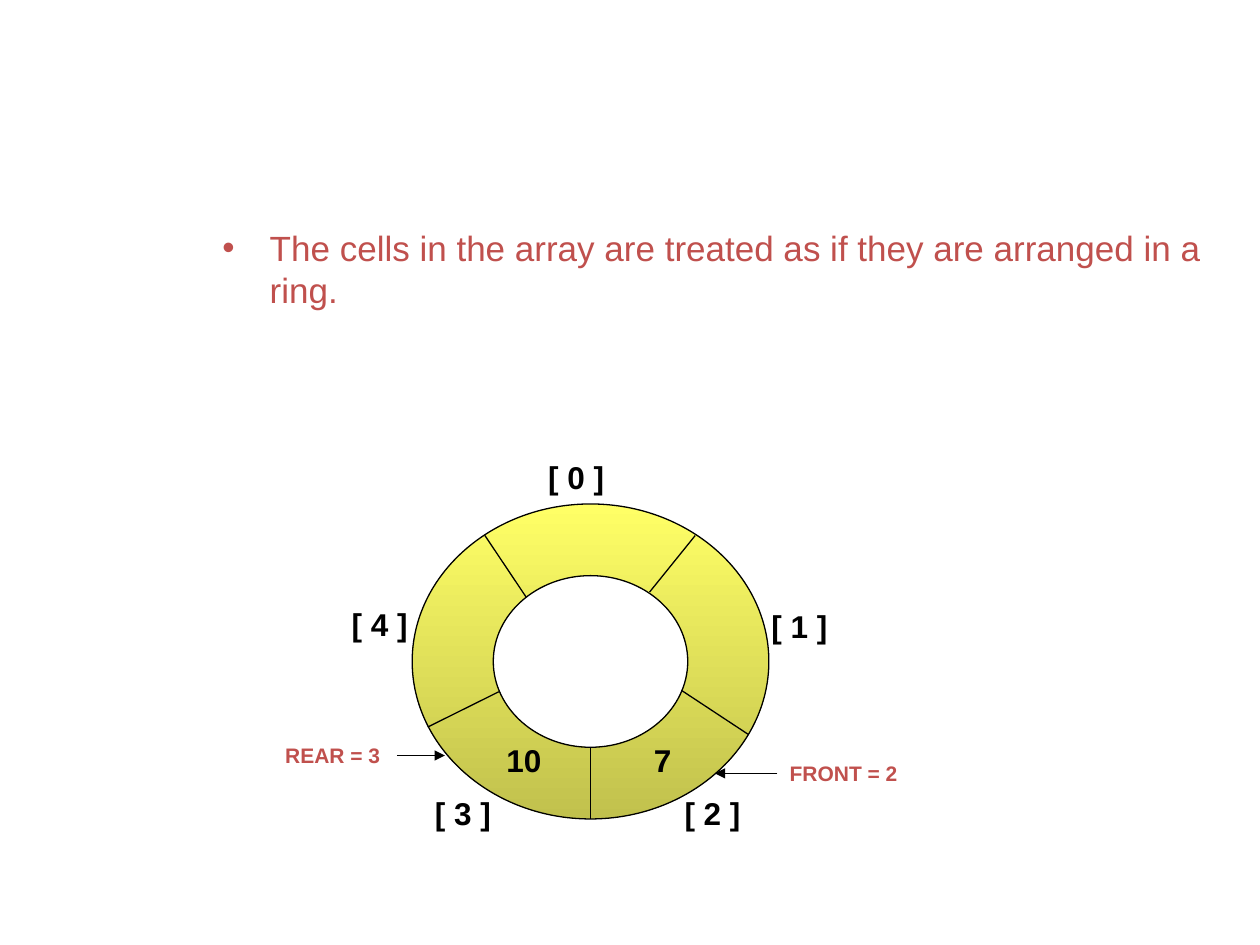
from lxml.etree import Element, SubElement
from pptx import Presentation
from pptx.dml.color import RGBColor
from pptx.enum.shapes import MSO_CONNECTOR as CONNECTOR
from pptx.enum.text import MSO_AUTO_SIZE as AUTO_SIZE
from pptx.oxml.ns import qn
from pptx.util import Cm, Pt

BLACK, RED = "000000", "C0504D"
RING_TOP, RING_BOTTOM = "FFFF66", "C1C14D"
ARC = 0.55  # Bezier handle length of a quarter ellipse


def color(hex_value):
    return RGBColor.from_string(hex_value)


def write(frame, text, size=18, fill=BLACK, bold=True):
    paragraph = frame.paragraphs[0]
    paragraph.space_before = Pt(0)
    run = paragraph.add_run()
    run.text = text
    run.font.name, run.font.size, run.font.bold = "Arial", Pt(size), bold
    run.font.color.rgb = color(fill)


def add_label(slide, text, left, top, width, height=1.02, **text_format):
    label = slide.shapes.add_textbox(Cm(left), Cm(top), Cm(width), Cm(height))
    label.text_frame.word_wrap = False
    label.text_frame.auto_size = AUTO_SIZE.SHAPE_TO_FIT_TEXT
    write(label.text_frame, text, **text_format)
    return label


def add_line(slide, start, end, arrow=False):
    line = slide.shapes.add_connector(
        CONNECTOR.STRAIGHT, *(Cm(value) for value in (*start, *end)))
    line.line.color.rgb = color(BLACK)
    line.line.width = Pt(0.75)
    if arrow:
        SubElement(line.line._get_or_add_ln(), qn("a:tailEnd"), type="triangle")
    SubElement(line._element.spPr, qn("a:effectLst"))
    return line


def ellipse_extremes(center_x, center_y, radius_x, radius_y):
    """Left, top, right, bottom and left again."""
    return [(Cm(center_x + x * radius_x), Cm(center_y + y * radius_y))
            for x, y in ((-1, 0), (0, -1), (1, 0), (0, 1), (-1, 0))]


def round_quarters(outline):
    """Turn each straight segment between extremes into a quarter ellipse."""
    for index, segment in enumerate(list(outline._element.iter(qn("a:lnTo")))):
        start, end = ([int(point.get(axis)) for axis in "xy"]
                      for point in (segment.getprevious()[-1], segment[-1]))
        corner = (start[0], end[1]) if index % 2 == 0 else (end[0], start[1])
        segment.tag = qn("a:cubicBezTo")
        for position, anchor in enumerate((start, end)):
            x, y = (str(round(a + ARC * (c - a))) for a, c in zip(anchor, corner))
            segment.insert(position, Element(qn("a:pt"), x=x, y=y))


def add_statement(slide, left, top, width, height):
    statement = slide.placeholders[1]
    statement.left, statement.top = Cm(left), Cm(top)
    statement.width, statement.height = Cm(width), Cm(height)
    statement.text_frame.auto_size = AUTO_SIZE.NONE
    write(statement.text_frame,
          "The cells in the array are treated as if they are arranged in a ring.",
          size=20, fill=RED, bold=False)


def add_ring(slide, left, top, width, height):
    center_x, center_y = left + width / 2, top + height / 2

    # Ring outline with an inner hole, drawn the other way round
    outer = ellipse_extremes(center_x, center_y, width / 2, height / 2)
    hole = ellipse_extremes(center_x, center_y, 1.96, 1.73)[::-1]
    builder = slide.shapes.build_freeform(*outer[0], scale=1.0)
    builder.add_line_segments(outer[1:], close=True)
    builder.move_to(*hole[0])
    builder.add_line_segments(hole[1:], close=True)
    ring = builder.convert_to_shape()
    round_quarters(ring)
    ring.shadow.inherit = False
    ring.fill.gradient()
    ring.fill.gradient_angle = 270
    for stop, position, shade in zip(ring.fill.gradient_stops, (0, 1),
                                     (RING_TOP, RING_BOTTOM)):
        stop.position = position
        stop.color.rgb = color(shade)
    ring.line.color.rgb = color(BLACK)
    ring.line.width = Pt(0.75)

    # Cell borders, measured from the centre
    borders = [((0, 1.73), (0, 3.18)), ((1.83, 0.58), (3.18, 1.47)),
               ((-1.85, 0.61), (-3.28, 1.32)), ((-1.3, -1.3), (-2.13, -2.54)),
               ((1.19, -1.4), (2.11, -2.54))]
    for inner_end, outer_end in borders:
        add_line(slide, *((center_x + x, center_y + y) for x, y in (inner_end, outer_end)))

    # Cell values and indexes
    cell_texts = [("10", 1.65, 4.65, 1.22), ("7", 4.62, 4.65, 0.86),
                  ("[ 3 ]", 0.21, 5.72, 1.63), ("[ 4 ]", -1.47, 1.91, 1.63),
                  ("[ 2 ]", 5.24, 5.72, 1.63), ("[ 1 ]", 6.99, 1.96, 1.63),
                  ("[ 0 ]", 2.49, -1.05, 1.63)]
    for text, x, y, text_width in cell_texts:
        add_label(slide, text, left + x, top + y, text_width)

    # Pointers: label, place, width, side joined, arrow tip
    pointers = [("FRONT = 2", 7.36, 5.05, 2.77, 1, 6.1),
                ("REAR = 3", -2.81, 4.69, 2.5, 3, 0.66)]
    for text, x, y, text_width, side, tip in pointers:
        pointer = add_label(slide, text, left + x, top + y, text_width, 0.76,
                            size=12, fill=RED)
        start_x = left + x + (text_width if side == 3 else 0)
        middle = top + y + 0.38
        arrow = add_line(slide, (start_x, middle), (left + tip, middle), arrow=True)
        arrow.begin_connect(pointer, side)


def main():
    deck = Presentation()
    deck.slide_width, deck.slide_height = Cm(25.4), Cm(19.05)
    slide = deck.slides.add_slide(deck.slide_layouts[1])
    title = slide.shapes.title._element
    title.getparent().remove(title)
    add_statement(slide, 4.23, 4.43, 20.32, 12.7)
    add_ring(slide, 8.31, 10.16, 7.19, 6.35)
    deck.save("out.pptx")


if __name__ == "__main__":
    main()
